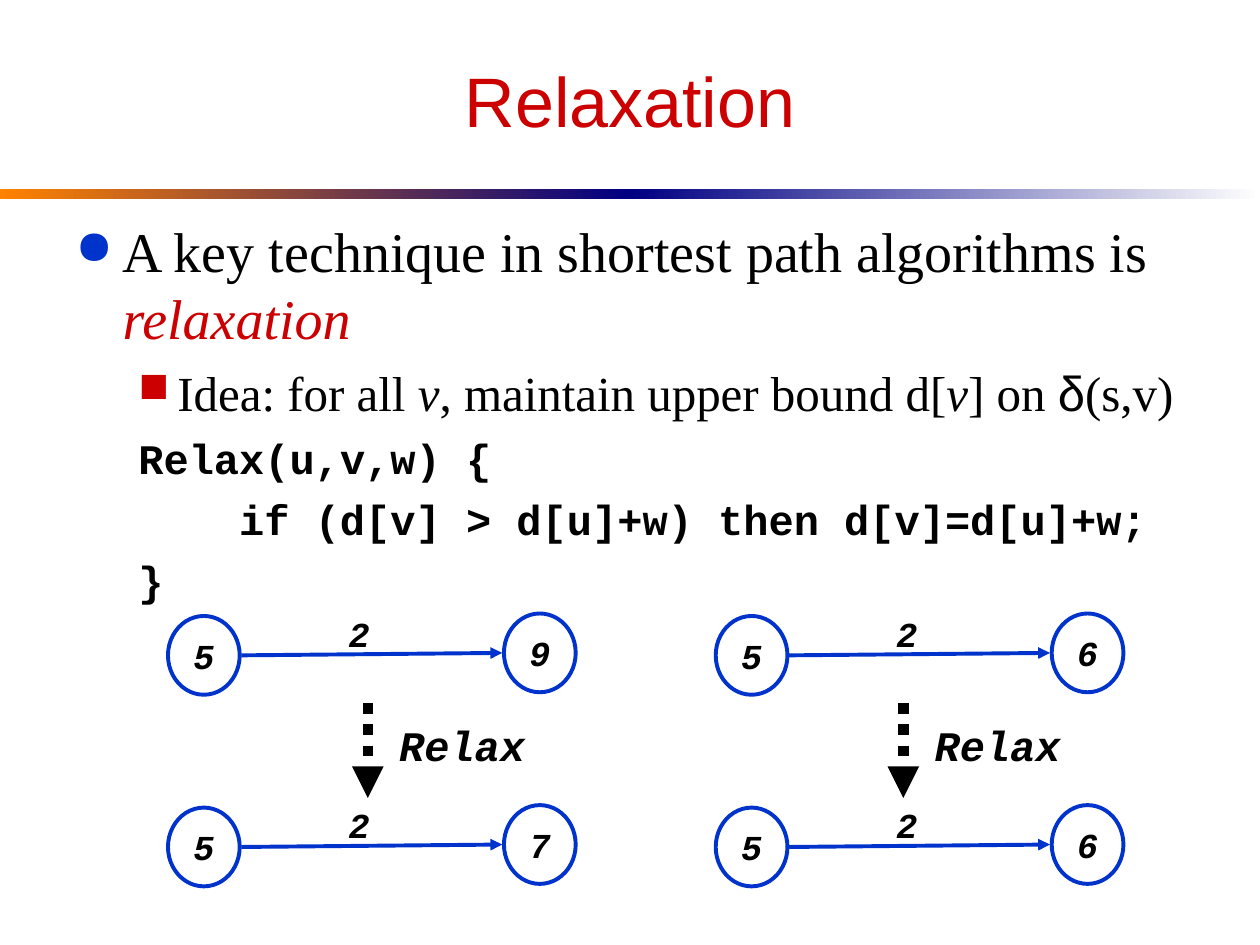
from dataclasses import dataclass
from typing import NamedTuple, Optional

from lxml import etree
from pptx import Presentation
from pptx.dml.color import RGBColor
from pptx.enum.dml import MSO_LINE
from pptx.enum.shapes import MSO_CONNECTOR, MSO_SHAPE
from pptx.enum.text import MSO_ANCHOR, PP_ALIGN
from pptx.oxml.ns import qn
from pptx.util import Pt

CENTER, LEFT = PP_ALIGN.CENTER, PP_ALIGN.LEFT
MIDDLE, TOP = MSO_ANCHOR.MIDDLE, MSO_ANCHOR.TOP
DOTTED = MSO_LINE.ROUND_DOT
STRAIGHT = MSO_CONNECTOR.STRAIGHT
RECTANGLE, OVAL = MSO_SHAPE.RECTANGLE, MSO_SHAPE.OVAL


@dataclass(frozen=True)
class Theme:
    red: str = "CC0000"
    blue: str = "0033CC"
    black: str = "000000"
    white: str = "FFFFFF"
    orange: str = "FF8200"
    navy: str = "000082"
    sans: str = "Arial"
    serif: str = "Times New Roman"
    mono: str = "Courier New"
    title_size: float = 40
    point_size: float = 32
    idea_size: float = 28
    code_size: float = 24
    node_size: float = 20


THEME = Theme()


class Span(NamedTuple):
    text: str
    size: float
    font: str = THEME.serif
    color: str = THEME.black
    bold: bool = False
    italic: bool = False


class Bullet(NamedTuple):
    mark: str
    color: str


class Line(NamedTuple):
    spans: list[Span]
    left: float
    hanging: float
    before: float
    level: int = 1
    bullet: Optional[Bullet] = None


class Example(NamedTuple):
    left: float
    relax_x: float
    v_before: str
    v_after: str


def idea(text: str, **style) -> Span:
    return Span(text, THEME.idea_size, **style)


def code(text: str, left: float = 58.3, hanging: float = 22.3) -> Line:
    return Line([Span(text, THEME.code_size, THEME.mono, bold=True)], left, hanging, 6)


def graph_text(text: str, size: float = THEME.node_size) -> Span:
    return Span(text, size, THEME.mono, bold=True, italic=True)


LINES = [
    Line([Span("A key technique in shortest path algorithms is ", THEME.point_size),
          Span("relaxation", THEME.point_size, color=THEME.red, italic=True)],
         27, 27, 8, 0, Bullet("●", THEME.blue)),
    Line([idea("Idea: for all "), idea("v", italic=True),
          idea(", maintain upper bound d["), idea("v", italic=True),
          idea("] on "), idea("δ", font=THEME.sans), idea("(s,v)")],
         58.3, 22.3, 7, 1, Bullet("■", THEME.red)),
    code("Relax(u,v,w) {"),
    code("if (d[v] > d[u]+w) then d[v]=d[u]+w;", 93.6, 0),
    code("}"),
]
EXAMPLES = [Example(96, 210.2, "9", "7"), Example(409, 516.2, "6", "6")]
BEFORE_Y, AFTER_Y = 352, 461.5
NODE_WIDTH, NODE_HEIGHT = 41, 45
V_SHIFT, V_RISE = 192, 1.4


def rgb(color: str) -> RGBColor:
    return RGBColor.from_string(color)


def add_span(paragraph, span: Span) -> None:
    run = paragraph.add_run()
    run.text = span.text
    font = run.font
    font.name, font.size = span.font, Pt(span.size)
    font.bold, font.italic = span.bold, span.italic
    font.color.rgb = rgb(span.color)


def add_bullet(properties, bullet: Bullet) -> None:
    color = etree.SubElement(properties, qn("a:buClr"))
    etree.SubElement(color, qn("a:srgbClr"), val=bullet.color)
    etree.SubElement(properties, qn("a:buSzPct"), val="85000")
    etree.SubElement(properties, qn("a:buChar"), char=bullet.mark)


def add_band(slide, left: float, start: str, end: str) -> None:
    band = slide.shapes.add_shape(RECTANGLE, Pt(left), Pt(108), Pt(360), Pt(5.8))
    band.shadow.inherit = False
    band.line.fill.background()
    band.fill.gradient()
    band.fill.gradient_angle = 0
    for stop, color in zip(band.fill.gradient_stops, (start, end)):
        stop.color.rgb = rgb(color)


def add_title(slide, span: Span) -> None:
    title = slide.shapes.title
    title.left, title.top, title.width, title.height = Pt(36), Pt(18), Pt(648), Pt(78)
    title.text_frame.vertical_anchor = MIDDLE
    heading = title.text_frame.paragraphs[0]
    heading.alignment = CENTER
    add_span(heading, span)


def add_body(slide, lines: list[Line]) -> None:
    frame = slide.shapes.add_textbox(Pt(36), Pt(120), Pt(648), Pt(342)).text_frame
    frame.word_wrap = True
    for index, line in enumerate(lines):
        paragraph = frame.add_paragraph() if index else frame.paragraphs[0]
        paragraph.level = line.level
        paragraph.space_before = Pt(line.before)
        properties = paragraph._p.get_or_add_pPr()
        properties.set("marL", str(Pt(line.left)))
        properties.set("indent", str(Pt(-line.hanging)))
        if line.bullet:
            add_bullet(properties, line.bullet)
        for span in line.spans:
            add_span(paragraph, span)


def add_node(slide, left: float, top: float, value: str) -> None:
    node = slide.shapes.add_shape(OVAL, Pt(left), Pt(top), Pt(NODE_WIDTH), Pt(NODE_HEIGHT))
    node.shadow.inherit = False
    node.fill.solid()
    node.fill.fore_color.rgb = rgb(THEME.white)
    node.line.color.rgb = rgb(THEME.blue)
    node.line.width = Pt(2.25)
    node.text_frame.vertical_anchor = MIDDLE
    node.text_frame.paragraphs[0].alignment = CENTER
    add_span(node.text_frame.paragraphs[0], graph_text(value))


def add_arrow(slide, x1: float, y1: float, x2: float, y2: float,
              color: str, width: float, dash=None) -> None:
    arrow = slide.shapes.add_connector(STRAIGHT, Pt(x1), Pt(y1), Pt(x2), Pt(y2))
    arrow.line.color.rgb = rgb(color)
    arrow.line.width = Pt(width)
    if dash is not None:
        arrow.line.dash_style = dash
    etree.SubElement(arrow.line._get_or_add_ln(), qn("a:tailEnd"), type="triangle")
    etree.SubElement(arrow._element.spPr, qn("a:effectLst"))


def add_label(slide, left: float, top: float, width: float, height: float,
              span: Span, alignment=CENTER) -> None:
    frame = slide.shapes.add_textbox(Pt(left), Pt(top), Pt(width), Pt(height)).text_frame
    frame.word_wrap = False
    frame.vertical_anchor = TOP
    frame.paragraphs[0].alignment = alignment
    add_span(frame.paragraphs[0], span)


def add_edge_state(slide, left: float, top: float, v_value: str) -> None:
    """Draw u and v with their estimates and the edge of weight 2 between them."""
    add_node(slide, left + V_SHIFT, top - V_RISE, v_value)
    add_node(slide, left, top, "5")
    edge_y = top + NODE_HEIGHT / 2
    add_arrow(slide, left + NODE_WIDTH + 1, edge_y, left + V_SHIFT - 1, edge_y - V_RISE,
              THEME.blue, 2.25)
    add_label(slide, left + 96.2, top - 5.8, 26, 31.5, graph_text("2"))


def add_example(slide, example: Example) -> None:
    add_edge_state(slide, example.left, BEFORE_Y, example.v_before)
    add_edge_state(slide, example.left, AFTER_Y, example.v_after)
    add_arrow(slide, example.relax_x, 402, example.relax_x, 456, THEME.black, 6, DOTTED)
    add_label(slide, example.relax_x + 10.8, 407.5, 86.4, 36,
              graph_text("Relax", THEME.code_size), LEFT)


def main() -> None:
    deck = Presentation()
    deck.slide_width, deck.slide_height = Pt(720), Pt(540)
    slide = deck.slides.add_slide(deck.slide_layouts[5])
    add_band(slide, 0, THEME.orange, THEME.navy)
    add_band(slide, 360, THEME.navy, THEME.white)
    add_title(slide, Span("Relaxation", THEME.title_size, THEME.sans, THEME.red))
    add_body(slide, LINES)
    for example in EXAMPLES:
        add_example(slide, example)
    deck.save("out.pptx")


if __name__ == "__main__":
    main()
